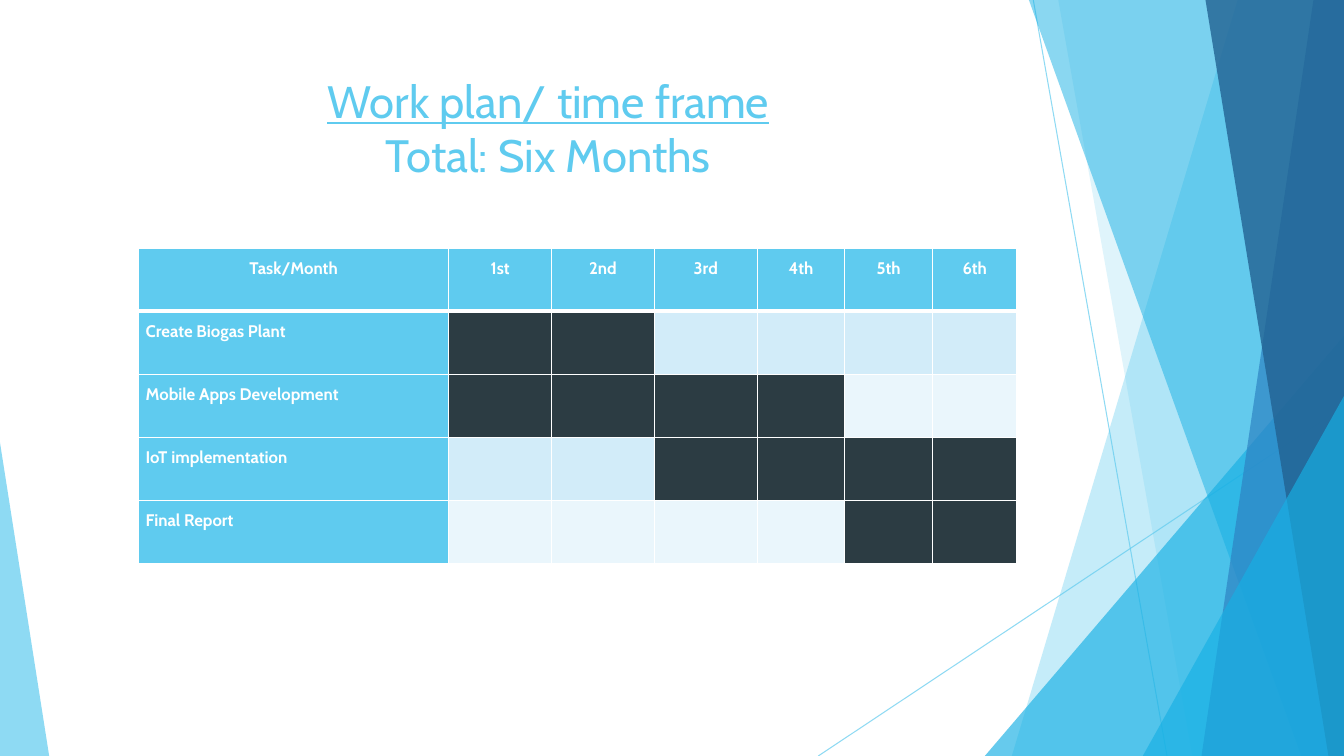
"""Build the six-month work plan slide with its faceted background."""
from lxml.etree import SubElement
from pptx import Presentation
from pptx.dml.color import RGBColor
from pptx.enum.shapes import MSO_CONNECTOR, MSO_SHAPE
from pptx.enum.text import MSO_ANCHOR, PP_ALIGN
from pptx.oxml.ns import qn
from pptx.util import Cm, Pt

SKY = RGBColor(0x5F, 0xCB, 0xEF)
CYAN = RGBColor(0x17, 0xB0, 0xE4)
BLUE = RGBColor(0x2E, 0x83, 0xC3)
NAVY = RGBColor(0x22, 0x62, 0x92)
DARK = RGBColor(0x2C, 0x3C, 0x43)
WHITE = RGBColor(0xFF, 0xFF, 0xFF)
BANDS = [RGBColor(0xD2, 0xEC, 0xF9), RGBColor(0xEA, 0xF6, 0xFC)]
FONT = "Cabin"
WIDTH, HEIGHT = 33.87, 19.05

TITLE = ["Work plan/ time frame", "Total: Six Months"]
HEADER = ["Task/Month", "1st", "2nd", "3rd", "4th", "5th", "6th"]
TASKS = [
    ("Create Biogas Plant", 1, 2),
    ("Mobile Apps Development", 1, 4),
    ("IoT implementation", 3, 6),
    ("Final Report", 5, 6),
]
COLUMNS = [7.82, 2.59, 2.59, 2.59, 2.21, 2.21, 2.13]
ROW = 1.59

RAYS = [(26.04, 0, 29.41, HEIGHT), (WIDTH, 10.24, 20.62, HEIGHT)]
FACETS = [
    ("slab", (31.19, 25.5), SKY, 36),
    ("slab", (26.67, 30.05), SKY, 20),
    ("peak", (24.82, 8.46, WIDTH, 1), CYAN, 66),
    ("slab", (25.93, 32.79), CYAN, 50),
    ("slab", (33.1, 30.28), BLUE, 70),
    ("slab", (30.38, 33.48), NAVY, 80),
    ("peak", (28.8, 9.98, WIDTH, 1), CYAN, 66),
    ("peak", (0, 11.15, 1.24, 0), SKY, 70),
]


def set_alpha(fill_parent, percent):
    color = next(fill_parent.iter(qn("a:srgbClr")))
    SubElement(color, qn("a:alpha")).set("val", str(percent * 1000))


def add_ray(s, x1, y1, x2, y2):
    ray = s.shapes.add_connector(MSO_CONNECTOR.STRAIGHT, Cm(x1), Cm(y1), Cm(x2), Cm(y2))
    ray.line.color.rgb = SKY
    ray.line.width = Pt(0.75)
    set_alpha(ray.line._ln, 70)
    SubElement(ray._element.spPr, qn("a:effectLst"))


def add_slab(s, top_x, bottom_x):
    outline = s.shapes.build_freeform(Cm(top_x), Cm(0))
    corners = [(WIDTH, 0), (WIDTH, HEIGHT), (bottom_x, HEIGHT)]
    outline.add_line_segments([(Cm(x), Cm(y)) for x, y in corners])
    return outline.convert_to_shape()


def add_peak(s, left, top, right, apex):
    sp = s.shapes.add_shape(MSO_SHAPE.ISOSCELES_TRIANGLE, Cm(left), Cm(top),
                            Cm(right - left), Cm(HEIGHT - top))
    sp.adjustments[0] = apex
    return sp


def add_facet(s, kind, geometry, color, alpha):
    sp = {"slab": add_slab, "peak": add_peak}[kind](s, *geometry)
    sp.shadow.inherit = False
    sp.line.fill.background()
    sp.fill.solid()
    sp.fill.fore_color.rgb = color
    set_alpha(sp._element.spPr, alpha)


def add_title(s):
    tf = s.shapes.add_textbox(Cm(1.88), Cm(1.72), Cm(23.88), Cm(3.66)).text_frame
    tf.word_wrap = True
    tf.vertical_anchor = MSO_ANCHOR.TOP
    p = tf.paragraphs[0]
    p.alignment = PP_ALIGN.CENTER
    p.font.name, p.font.size, p.font.color.rgb = FONT, Pt(32.4), SKY
    for i, line in enumerate(TITLE):
        if i:
            p.add_line_break()
        r = p.add_run()
        r.text = line
        r.font.name, r.font.size, r.font.color.rgb = FONT, Pt(32.4), SKY
        r.font.underline = i == 0


def style_cell(cell, color, text, align, bottom):
    tcPr = cell._tc.get_or_add_tcPr()
    for side, points in (("L", 1), ("R", 1), ("T", 1), ("B", bottom)):
        ln = SubElement(tcPr, qn(f"a:ln{side}"), w=str(Pt(points)))
        SubElement(SubElement(ln, qn("a:solidFill")), qn("a:srgbClr"), val=str(WHITE))
    cell.fill.solid()
    cell.fill.fore_color.rgb = color
    cell.margin_left = cell.margin_right = Cm(0.18)
    cell.margin_top = cell.margin_bottom = 0
    p = cell.text_frame.paragraphs[0]
    p.text = text
    p.alignment, p.line_spacing = align, 1.5
    p.font.name, p.font.size, p.font.bold = FONT, Pt(12), True
    p.font.color.rgb = WHITE


def add_plan(s):
    rows = len(TASKS) + 1
    table = s.shapes.add_table(rows, len(COLUMNS), Cm(3.49), Cm(6.25),
                               Cm(sum(COLUMNS)), Cm(ROW * rows)).table
    for column, width in zip(table.columns, COLUMNS):
        column.width = Cm(width)
    for row in table.rows:
        row.height = Cm(ROW)
    for month, label in enumerate(HEADER):
        style_cell(table.cell(0, month), SKY, label, PP_ALIGN.CENTER, 3)
    for i, (task, first, last) in enumerate(TASKS):
        style_cell(table.cell(i + 1, 0), SKY, task, PP_ALIGN.LEFT, 1)
        for month in range(1, len(HEADER)):
            color = DARK if first <= month <= last else BANDS[i % 2]
            style_cell(table.cell(i + 1, month), color, "", PP_ALIGN.LEFT, 1)


def main():
    prs = Presentation()
    prs.slide_width, prs.slide_height = Cm(WIDTH), Cm(HEIGHT)
    s = prs.slides.add_slide(prs.slide_layouts[6])
    for ray in RAYS:
        add_ray(s, *ray)
    for facet in FACETS:
        add_facet(s, *facet)
    add_title(s)
    add_plan(s)
    prs.save("out.pptx")


if __name__ == "__main__":
    main()
